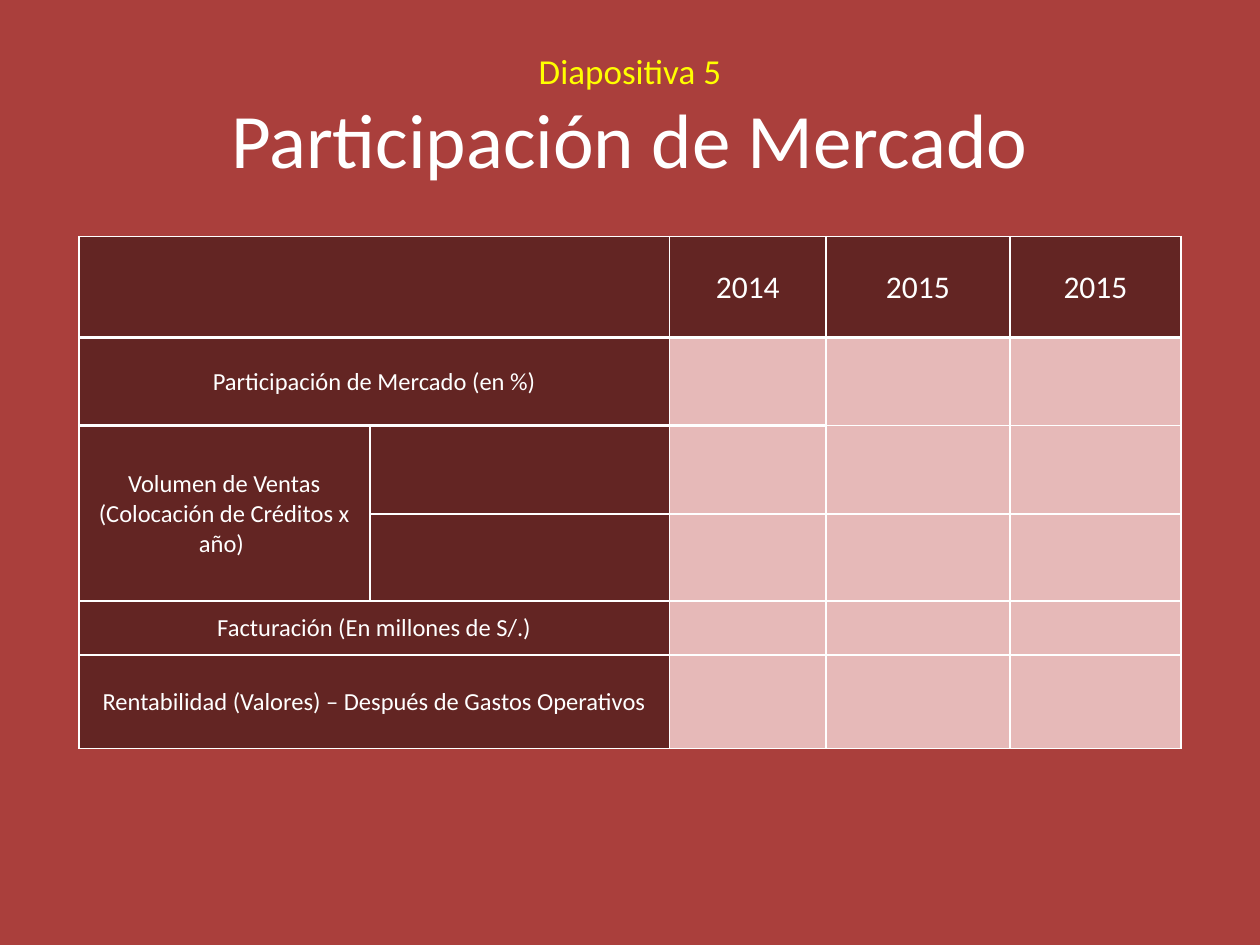
import pptx
import pptx.dml.color
import pptx.enum.text
import pptx.oxml
import pptx.oxml.ns
import pptx.util

Pt = pptx.util.Pt
COLORS = {
    "background": "AA3F3C",
    "header": "632523",
    "value": "E6B9B8",
    "text": "FFFFFF",
    "caption": "FFFF00",
}
COLUMN_WIDTHS = [166.3, 171.4, 89.3, 105.1, 97.9]
ROW_HEIGHTS = [57.6, 50.4, 50.4, 49.7, 31, 53.3]
LABEL_COLUMNS = 2
YEARS = ["2014", "2015", "2015"]
ROW_LABELS = {
    1: "Participación de Mercado (en %)",
    2: "Volumen de Ventas (Colocación de Créditos x año) ",
    4: "Facturación (En millones de S/.)",
    5: "Rentabilidad (Valores) – Después de Gastos Operativos",
}
MERGES = [((0, 0), (0, 1)), ((1, 0), (1, 1)), ((2, 0), (3, 0)),
          ((4, 0), (4, 1)), ((5, 0), (5, 1))]
HEAVY_RULES = {0: range(5), 1: range(3), 2: range(1, 3)}


def rgb(name):
    return pptx.dml.color.RGBColor.from_string(COLORS[name])


def write_text(paragraph, text, size=14, color="text", font="Calibri"):
    paragraph.alignment = pptx.enum.text.PP_ALIGN.CENTER
    run = paragraph.add_run()
    run.text = text
    run.font.name = font
    run.font.size = Pt(size)
    run.font.color.rgb = rgb(color)


class MarketSlide:
    def __init__(self, presentation):
        self.slide = presentation.slides.add_slide(presentation.slide_layouts[6])
        fill = self.slide.background.fill
        fill.solid()
        fill.fore_color.rgb = rgb("background")

    def title(self, caption, heading, left, top, width, height):
        box = self.slide.shapes.add_textbox(Pt(left), Pt(top), Pt(width), Pt(height))
        frame = box.text_frame
        frame.word_wrap = True
        frame.vertical_anchor = pptx.enum.text.MSO_ANCHOR.MIDDLE
        paragraph = frame.paragraphs[0]
        write_text(paragraph, caption, size=20, color="caption")
        paragraph.add_line_break()
        write_text(paragraph, heading, size=44)

    def border(self, cell, side, width):
        namespace = pptx.oxml.ns.nsdecls("a")
        cell._tc.get_or_add_tcPr().append(pptx.oxml.parse_xml(
            f'<a:ln{side} {namespace} w="{Pt(width)}"><a:solidFill>'
            f'<a:srgbClr val="{COLORS["text"]}"/></a:solidFill></a:ln{side}>'))

    def cell(self, cell, row, column):
        def rule_width(above):
            return 1.5 if column in HEAVY_RULES.get(above, ()) else 1

        widths = {"L": 1, "R": 1, "T": rule_width(row - 1), "B": rule_width(row)}
        for side, width in widths.items():
            self.border(cell, side, width)
        is_label = row == 0 or column < LABEL_COLUMNS
        cell.fill.solid()
        cell.fill.fore_color.rgb = rgb("header" if is_label else "value")
        cell.vertical_anchor = pptx.enum.text.MSO_ANCHOR.MIDDLE
        cell.margin_left = cell.margin_right = cell.margin_top = Pt(0.7)
        cell.margin_bottom = Pt(0)

    def table(self, left, top):
        grid = self.slide.shapes.add_table(
            len(ROW_HEIGHTS), len(COLUMN_WIDTHS), Pt(left), Pt(top),
            Pt(sum(COLUMN_WIDTHS)), Pt(sum(ROW_HEIGHTS))).table
        grid.first_row = grid.horz_banding = False
        for column, width in zip(grid.columns, COLUMN_WIDTHS):
            column.width = Pt(width)
        for row, height in zip(grid.rows, ROW_HEIGHTS):
            row.height = Pt(height)
        for row in range(len(ROW_HEIGHTS)):
            for column in range(len(COLUMN_WIDTHS)):
                self.cell(grid.cell(row, column), row, column)
        for first, last in MERGES:
            grid.cell(*first).merge(grid.cell(*last))
        for column, year in enumerate(YEARS, LABEL_COLUMNS):
            write_text(grid.cell(0, column).text_frame.paragraphs[0], year, size=18)
        for row, label in ROW_LABELS.items():
            write_text(grid.cell(row, 0).text_frame.paragraphs[0], label)


def main():
    presentation = pptx.Presentation()
    presentation.slide_width = Pt(720)
    presentation.slide_height = Pt(540)
    market = MarketSlide(presentation)
    market.title("Diapositiva 5", "Participación de Mercado", 36, 21.6, 648, 90)
    market.table(45, 135.2)
    presentation.save("out.pptx")


if __name__ == "__main__":
    main()
